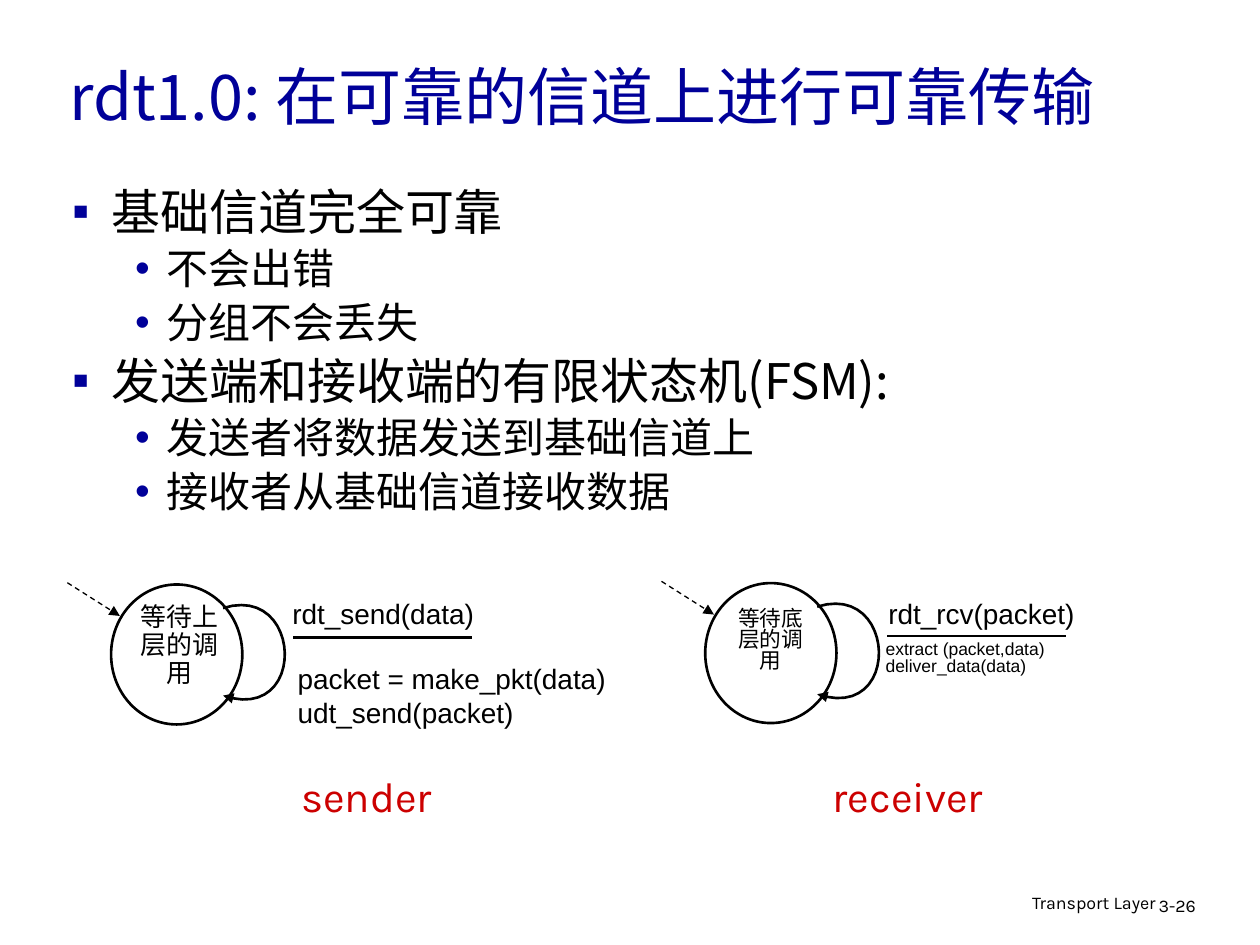
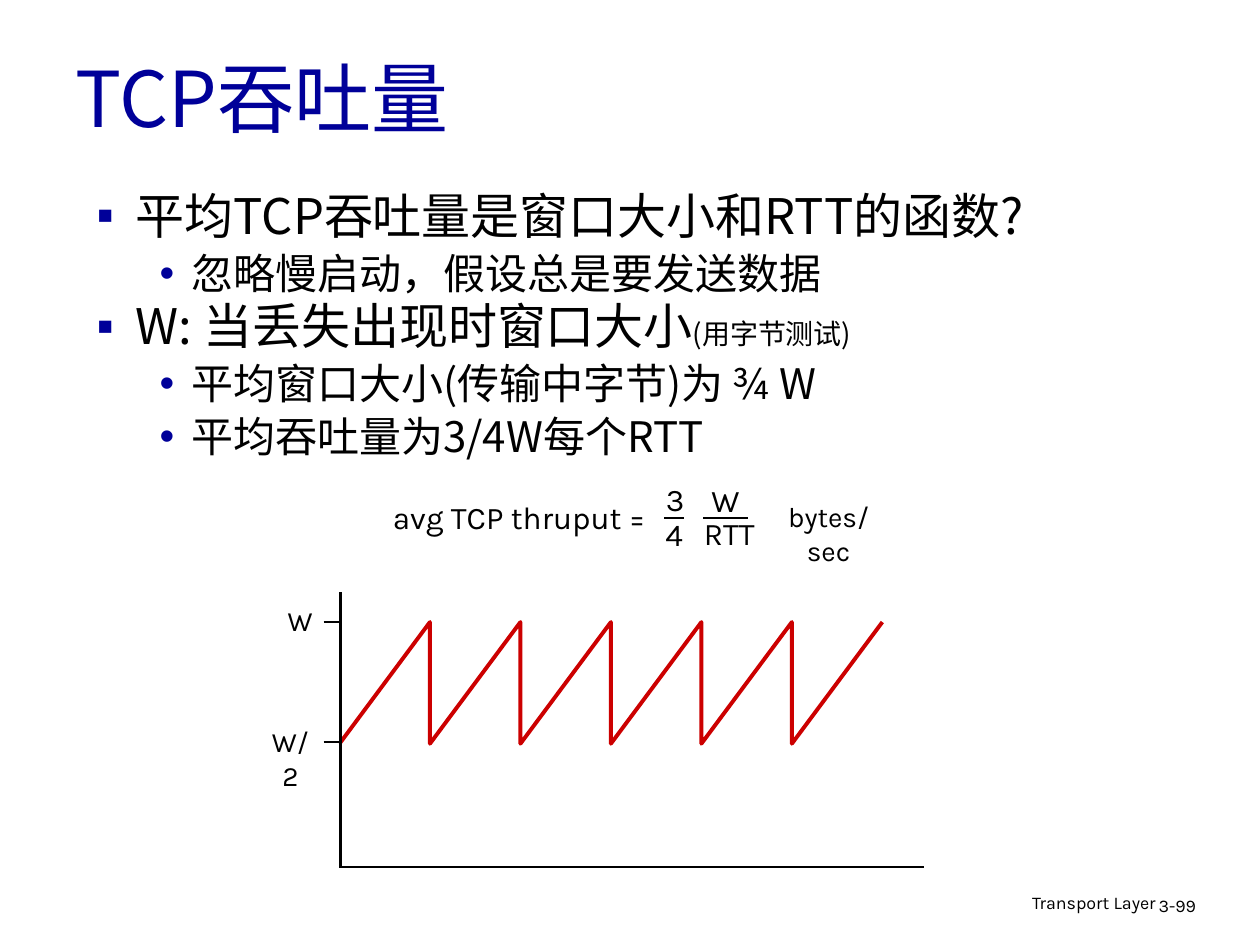
import pptx
import pptx.dml.color
import pptx.enum.dml
import pptx.enum.shapes
import pptx.enum.text
import pptx.oxml
import pptx.oxml.ns
import pptx.util

Pt = pptx.util.Pt
RGBColor = pptx.dml.color.RGBColor
ALIGN = pptx.enum.text.PP_ALIGN
ANCHOR = pptx.enum.text.MSO_ANCHOR
qn = pptx.oxml.ns.qn

# Shared look
NAVY = RGBColor(0x00, 0x00, 0x99)
RED = RGBColor(0xCC, 0x00, 0x00)
BLACK = RGBColor(0x00, 0x00, 0x00)
WHITE = RGBColor(0xFF, 0xFF, 0xFF)
HAN = "Noto Sans CJK SC"
KARLA = "Karla"
ARIAL = "Arial"

# Per list level: bullet, text size, left margin, hanging indent, space before
LEVELS = [("▪", 28, 22.5, -22.5, 7), ("•", 24, 54, -18, 6)]


def add_xml(parent, tag, **attributes):
    element = pptx.oxml.parse_xml(f'<a:{tag} {pptx.oxml.ns.nsdecls("a")}/>')
    for name, value in attributes.items():
        element.set(name, str(value))
    parent.append(element)
    return element


def add_run(paragraph, text, size, font, color):
    run = paragraph.add_run()
    run.text = text
    run.font.size = Pt(size)
    run.font.name = font
    run.font.color.rgb = color
    add_xml(run.font._element, "ea", typeface=font)


def add_text(slide, text, left, top, width, height, *, size=16, font=KARLA,
             color=BLACK, align=ALIGN.LEFT, spacing=None, wrap=True):
    """Each line of text becomes a paragraph."""
    frame = slide.shapes.add_textbox(Pt(left), Pt(top), Pt(width), Pt(height)).text_frame
    frame.word_wrap = wrap
    for index, line in enumerate(text.split("\n")):
        paragraph = frame.add_paragraph() if index else frame.paragraphs[0]
        paragraph.alignment = align
        if spacing:
            paragraph.line_spacing = spacing
        add_run(paragraph, line, size, font, color)


def place(placeholder, left, top, width, height):
    placeholder.left, placeholder.top = Pt(left), Pt(top)
    placeholder.width, placeholder.height = Pt(width), Pt(height)
    frame = placeholder.text_frame
    frame.word_wrap = True
    frame.auto_size = pptx.enum.text.MSO_AUTO_SIZE.NONE
    return frame


def set_title(slide, text, box, size):
    frame = place(slide.shapes.title, *box)
    frame.vertical_anchor = ANCHOR.MIDDLE
    heading = frame.paragraphs[0]
    heading.alignment = ALIGN.LEFT
    add_run(heading, text, size, HAN, NAVY)


def set_list(slide, items, box):
    """Items are (level, text) with an optional small remark."""
    frame = place(slide.placeholders[1], *box)
    frame.vertical_anchor = ANCHOR.TOP
    for index, (level, text, *remark) in enumerate(items):
        paragraph = frame.add_paragraph() if index else frame.paragraphs[0]
        bullet, size, margin, indent, before = LEVELS[level]
        paragraph.level = level
        paragraph.line_spacing = 0.85
        paragraph.space_before = Pt(before if index else 0)
        if remark:
            paragraph.space_before = Pt(4)
        properties = paragraph._p.get_or_add_pPr()
        properties.set("marL", str(Pt(margin)))
        properties.set("indent", str(Pt(indent)))
        add_xml(add_xml(properties, "buClr"), "srgbClr", val=NAVY)
        add_xml(properties, "buFont", typeface=ARIAL)
        add_xml(properties, "buChar", char=bullet)
        add_run(paragraph, text, size, HAN, BLACK)
        for note in remark:
            add_run(paragraph, note, 16, HAN, BLACK)


def style_line(line, color, width, arrow):
    line.color.rgb = color
    line.width = Pt(width)
    if arrow:
        add_xml(line._get_or_add_ln(), "tailEnd", type="triangle")


def add_line(slide, x1, y1, x2, y2, *, width=1.5, dashed=False, arrow=False):
    connector = slide.shapes.add_connector(
        pptx.enum.shapes.MSO_CONNECTOR.STRAIGHT, Pt(x1), Pt(y1), Pt(x2), Pt(y2))
    if dashed:
        connector.line.dash_style = pptx.enum.dml.MSO_LINE.DASH
    style_line(connector.line, BLACK, width, arrow)
    add_xml(connector._element.spPr, "effectLst")


def add_path(slide, points, *, color=BLACK, width=1.5, arrow=False):
    start, *rest = [(Pt(x), Pt(y)) for x, y in points]
    builder = slide.shapes.build_freeform(*start)
    builder.add_line_segments(rest, close=False)
    path = builder.convert_to_shape()
    path.shadow.inherit = False
    path.fill.background()
    style_line(path.line, color, width, arrow)


def bezier(p0, p1, p2, p3, steps=24):
    for step in range(steps + 1):
        t = step / steps
        u = 1 - t
        yield tuple(u**3 * a + 3 * u * u * t * b + 3 * u * t * t * c + t**3 * d
                    for a, b, c, d in zip(p0, p1, p2, p3))


def add_state(slide, left, top):
    """State circle with its start arrow, self-loop and event underline."""
    state = slide.shapes.add_shape(
        pptx.enum.shapes.MSO_SHAPE.OVAL, Pt(left), Pt(top), Pt(75), Pt(80))
    state.shadow.inherit = False
    state.fill.solid()
    state.fill.fore_color.rgb = WHITE
    style_line(state.line, BLACK, 1.5, False)
    loop = bezier((64, 13.5), (109.5, -1), (112.5, 80), (64, 63.5))
    add_path(slide, [(left + x, top + y) for x, y in loop], arrow=True)
    add_line(slide, left - 25, top - 1, left + 5, top + 18,
             width=0.75, dashed=True, arrow=True)
    add_line(slide, left + 104, top + 30.2, left + 206, top + 30.2)


def add_slide(deck, title, title_box, title_size, items, list_box, number):
    slide = deck.slides.add_slide(deck.slide_layouts[1])
    set_title(slide, title, title_box, title_size)
    set_list(slide, items, list_box)
    # Footer
    add_text(slide, "Transport Layer", 439, 507.5, 228.5, 22.5,
             size=10.2, align=ALIGN.RIGHT, spacing=0.9)
    add_text(slide, number, 655, 509, 53.5, 21.5, size=10.2, spacing=0.9)
    return slide


def build_rdt(deck):
    slide = add_slide(
        deck, "rdt1.0: 在可靠的信道上进行可靠传输", (32.5, 15, 630, 79), 36,
        [(0, "基础信道完全可靠"),
         (1, "不会出错"),
         (1, "分组不会丢失"),
         (0, "发送端和接收端的有限状态机(FSM):"),
         (1, "发送者将数据发送到基础信道上"),
         (1, "接收者从基础信道接收数据")],
        (34, 105, 622, 238), "3-26")

    # Sender machine
    add_state(slide, 63.5, 334)
    add_text(slide, "等待上层的调用", 66, 341.5, 73, 63,
             size=14.8, font=HAN, align=ALIGN.CENTER, spacing=0.9)
    add_text(slide, "rdt_send(data)", 160, 337.5, 178, 34, font=ARIAL)
    add_text(slide, "packet = make_pkt(data)\nudt_send(packet)",
             163, 374.5, 211, 47, font=ARIAL)

    # Receiver machine
    add_state(slide, 403, 333.2)
    add_text(slide, "等待底层的调用", 409, 345, 62.5, 57,
             size=12.4, font=HAN, align=ALIGN.CENTER, spacing=0.8)
    add_text(slide, "rdt_rcv(packet)", 500.5, 337.5, 121, 27, font=ARIAL, wrap=False)
    add_text(slide, "extract (packet,data)\ndeliver_data(data)",
             499, 363.5, 196, 34, size=10, font=ARIAL, spacing=0.8)

    for role, left, width in [("sender", 163.5, 92), ("receiver", 466.5, 104.5)]:
        add_text(slide, role, left, 436.5, width, 36,
                 size=24, color=RED, align=ALIGN.CENTER, wrap=False)


def build_throughput(deck):
    slide = add_slide(
        deck, "TCP吞吐量", (36, 18.5, 612, 73.5), 44,
        [(0, "平均TCP吞吐量是窗口大小和RTT的函数?"),
         (1, "忽略慢启动，假设总是要发送数据"),
         (0, "W: 当丢失出现时窗口大小", "(用字节测试)"),
         (1, "平均窗口大小(传输中字节)为 ¾ W"),
         (1, "平均吞吐量为3/4W每个RTT")],
        (48, 107.5, 651, 366), "3-99")

    # Sawtooth of the window size
    origin, period, full, half = 194, 51.7, 355.5, 425
    teeth = [(origin, half)]
    for cycle in range(1, 7):
        x = origin + cycle * period
        teeth += [(x, full), (x, half)]
    add_path(slide, teeth[:-1], color=RED, width=2.25)

    # Axes and ticks
    add_line(slide, origin, 495.5, 528, 495.5)
    add_line(slide, 194.5, 338.5, 194.5, 496)
    for level in (full, half - 1):
        add_line(slide, 185, level, origin, level)
    add_text(slide, "W", 157, 341.5, 29, 26.5, align=ALIGN.CENTER, wrap=False)
    add_text(slide, "W/2", 145.5, 410.5, 41, 26.5, align=ALIGN.CENTER)

    # Throughput formula
    for term, left, top, width in [
            ("avg TCP thruput =", 211.5, 281, 170.5),
            ("3", 373.5, 270.5, 24.5), ("4", 373, 291, 24.5),
            ("W", 399, 271.5, 31), ("RTT", 394, 290, 45.5)]:
        add_text(slide, term, left, top, width, 29,
                 size=18, align=ALIGN.CENTER, wrap=False)
    for left, right in [(379.5, 391), (402, 427.5)]:
        add_line(slide, left, 296, right, 296)
    add_text(slide, "bytes/sec", 436, 282, 75, 26.5, align=ALIGN.CENTER)


def main():
    deck = pptx.Presentation()
    deck.slide_width, deck.slide_height = Pt(720), Pt(540)
    build_rdt(deck)
    build_throughput(deck)
    deck.save("out.pptx")


if __name__ == "__main__":
    main()
